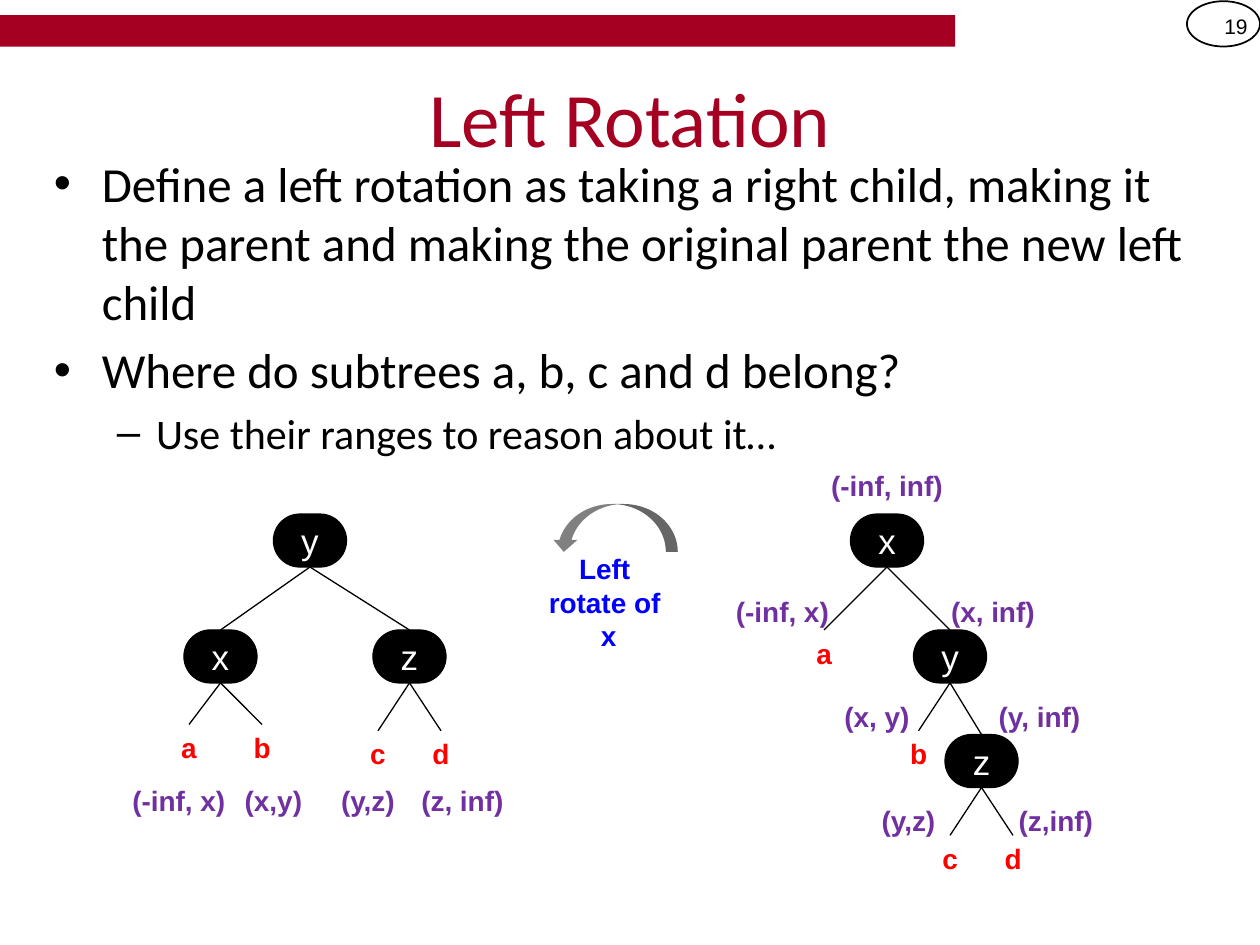
from lxml import etree
from pptx import Presentation
from pptx.dml.color import RGBColor
from pptx.enum.shapes import MSO_CONNECTOR, MSO_SHAPE
from pptx.enum.text import MSO_ANCHOR, MSO_AUTO_SIZE, PP_ALIGN
from pptx.oxml.ns import qn
from pptx.util import Inches, Pt

CRIMSON = RGBColor(0xA5, 0x00, 0x21)
BLACK = RGBColor(0x00, 0x00, 0x00)
WHITE = RGBColor(0xFF, 0xFF, 0xFF)
GRAY = RGBColor(0x80, 0x80, 0x80)
BLUE = RGBColor(0x00, 0x00, 0xFF)
RED = RGBColor(0xFF, 0x00, 0x00)
PURPLE = RGBColor(0x70, 0x30, 0xA0)

NODE_W, NODE_H = 0.58, 0.42
LEAF_W, RANGE_W, LABEL_H = 0.58, 1.25, 0.37


def add_run(p, text, size, color, font="Arial", bold=False):
    r = p.add_run()
    r.text = text
    r.font.size = Pt(size)
    r.font.name = font
    r.font.bold = bold
    r.font.color.rgb = color


def add_box(slide, x, y, w, h, align=PP_ALIGN.CENTER, anchor=MSO_ANCHOR.TOP):
    sp = slide.shapes.add_textbox(Inches(x), Inches(y), Inches(w), Inches(h))
    tf = sp.text_frame
    tf.word_wrap = True
    tf.vertical_anchor = anchor
    tf.paragraphs[0].alignment = align
    return tf


def add_shape(slide, kind, x, y, w, h, fill=None, line=None, width=0.75):
    sp = slide.shapes.add_shape(kind, Inches(x), Inches(y), Inches(w), Inches(h))
    sp.shadow.inherit = False
    if fill is None:
        sp.fill.background()
    else:
        sp.fill.solid()
        sp.fill.fore_color.rgb = fill
    if line is None:
        sp.line.fill.background()
    else:
        sp.line.color.rgb = line
        sp.line.width = Pt(width)
    return sp


def add_label(slide, lines, cx, y, w, color, h=LABEL_H):
    tf = add_box(slide, cx - w / 2, y, w, h)
    tf.auto_size = MSO_AUTO_SIZE.SHAPE_TO_FIT_TEXT
    p = tf.paragraphs[0]
    for i, line in enumerate(lines):
        if i:
            p.add_line_break()
        add_run(p, line, 16, color, bold=True)


def add_range(slide, text, cx, y):
    add_label(slide, [text], cx, y, RANGE_W, PURPLE)


def add_edge(slide, parent, x, y):
    c = slide.shapes.add_connector(MSO_CONNECTOR.STRAIGHT, 0, 0, x, y)
    c.begin_connect(parent, 2)
    c.line.color.rgb = BLACK
    c.line.width = Pt(0.75)
    etree.SubElement(c._element.spPr, qn("a:effectLst"))
    return c


def add_node(slide, text, cx, y, parent=None):
    sp = add_shape(slide, MSO_SHAPE.ROUNDED_RECTANGLE, cx - NODE_W / 2, y,
                   NODE_W, NODE_H, BLACK, BLACK)
    sp.adjustments[0] = 0.5
    tf = sp.text_frame
    tf.margin_left = tf.margin_right = 0
    tf.vertical_anchor = MSO_ANCHOR.MIDDLE
    p = tf.paragraphs[0]
    p.alignment = PP_ALIGN.CENTER
    add_run(p, text, 20, WHITE)
    if parent is not None:
        add_edge(slide, parent, Inches(cx), Inches(y)).end_connect(sp, 0)
    return sp


def add_leaf(slide, text, cx, y, parent):
    add_edge(slide, parent, Inches(cx), Inches(y))
    add_label(slide, [text], cx, y, LEAF_W, RED)


def add_bullet(p, char, left, hanging):
    pPr = p._p.get_or_add_pPr()
    pPr.set("marL", str(Inches(left)))
    pPr.set("indent", str(-Inches(hanging)))
    etree.SubElement(pPr, qn("a:buFont")).set("typeface", "Arial")
    etree.SubElement(pPr, qn("a:buChar")).set("char", char)


def add_header(slide):
    p = add_box(slide, 9.42, 0.01, 0.58, 0.4, PP_ALIGN.RIGHT,
                MSO_ANCHOR.MIDDLE).paragraphs[0]
    add_run(p, "19", 12, BLACK)
    add_shape(slide, MSO_SHAPE.RECTANGLE, 0, 0.12, 7.58, 0.25, CRIMSON)
    add_shape(slide, MSO_SHAPE.OVAL, 9.42, 0.01, 0.58, 0.36, line=BLACK, width=1)
    p = add_box(slide, 0.5, 0.3, 9, 1.25, anchor=MSO_ANCHOR.MIDDLE).paragraphs[0]
    add_run(p, "Left Rotation", 44, CRIMSON, "Calibri")


def add_body(slide):
    tf = add_box(slide, 0.33, 1.17, 9.42, 1.58, PP_ALIGN.LEFT)
    items = [
        ("Define a left rotation as taking a right child, making it the parent "
         "and making the original parent the new left child", 0),
        ("Where do subtrees a, b, c and d belong?", 0),
        ("Use their ranges to reason about it…", 1),
    ]
    styles = [("•", 0.38, 0.38, 28), ("–", 0.81, 0.31, 24)]
    for i, (text, level) in enumerate(items):
        char, left, hanging, size = styles[level]
        p = tf.add_paragraph() if i else tf.paragraphs[0]
        p.level = level
        if i:
            p.space_before = Pt(size * 0.2)
        add_bullet(p, char, left, hanging)
        add_run(p, text, size, BLACK, "Calibri")


def add_rotation_arrow(slide):
    add_label(slide, ["Left ", "rotate of ", "x"], 4.83, 4.33, 1.33, BLUE, 0.91)
    sp = add_shape(slide, MSO_SHAPE.CURVED_DOWN_ARROW, 4.38, 4, 1, 0.38, GRAY)
    sp._element.spPr.find(qn("a:xfrm")).set("flipH", "1")


def add_left_tree(slide):
    y = add_node(slide, "y", 2.46, 4.08)
    x = add_node(slide, "x", 1.75, 5, y)
    z = add_node(slide, "z", 3.25, 5, y)
    add_leaf(slide, "a", 1.5, 5.75, x)
    add_leaf(slide, "b", 2.08, 5.75, x)
    add_leaf(slide, "c", 3, 5.8, z)
    add_leaf(slide, "d", 3.5, 5.8, z)
    for i, text in enumerate(["(-inf, x)", "(x,y)", "(y,z)", "(z, inf)"]):
        add_range(slide, text, 1.42 + 0.75 * i, 6.17)


def add_right_tree(slide):
    x = add_node(slide, "x", 7.04, 4.08)
    y = add_node(slide, "y", 7.54, 5, x)
    z = add_node(slide, "z", 7.79, 5.83, y)
    add_leaf(slide, "a", 6.54, 5, x)
    add_leaf(slide, "b", 7.29, 5.8, y)
    add_leaf(slide, "c", 7.54, 6.63, z)
    add_leaf(slide, "d", 8.04, 6.63, z)
    for text, cx, top in [
        ("(-inf, inf)", 7.04, 3.67),
        ("(-inf, x)", 6.21, 4.67), ("(x, inf)", 7.88, 4.67),
        ("(x, y)", 6.96, 5.5), ("(y, inf)", 8.25, 5.5),
        ("(y,z)", 7.21, 6.33), ("(z,inf)", 8.38, 6.33),
    ]:
        add_range(slide, text, cx, top)


def main():
    prs = Presentation()
    prs.slide_width, prs.slide_height = Inches(10), Inches(7.5)
    slide = prs.slides.add_slide(prs.slide_layouts[6])
    add_header(slide)
    add_body(slide)
    add_rotation_arrow(slide)
    add_left_tree(slide)
    add_right_tree(slide)
    prs.save("out.pptx")


if __name__ == "__main__":
    main()
